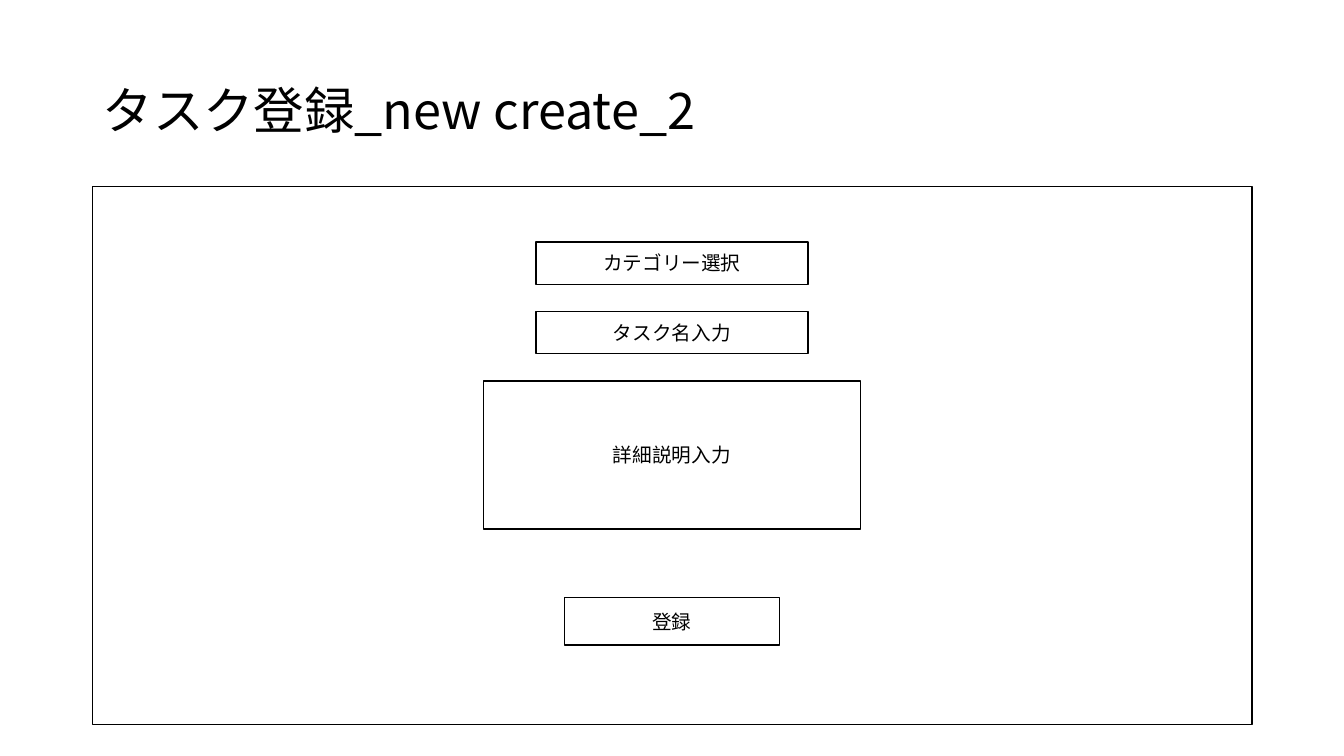
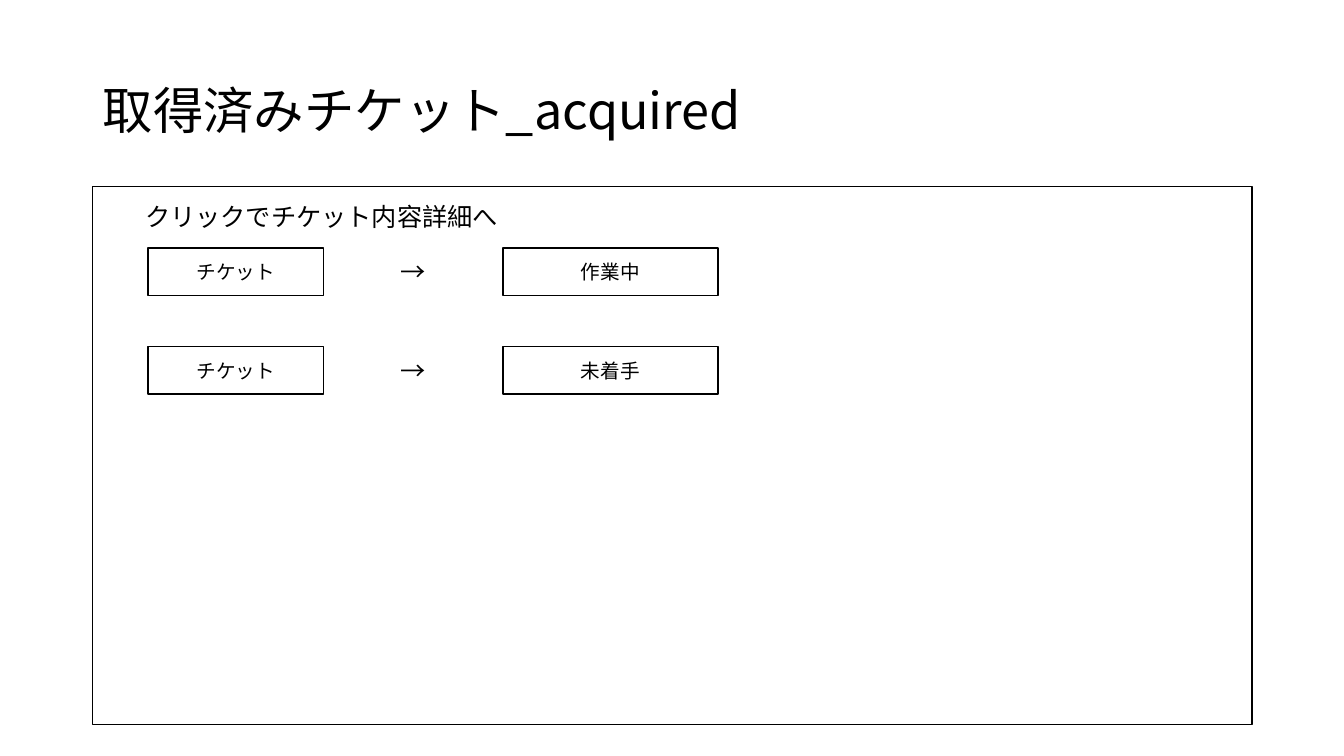
"""Build two wireframe slides: task registration and acquired tickets."""
from lxml import etree
from pptx import Presentation
from pptx.dml.color import RGBColor
from pptx.enum import shapes, text
from pptx.oxml import ns
from pptx.util import Inches, Pt

COLOURS = {"ink": "000000", "paper": "FFFFFF"}
FONT = "Noto Sans CJK JP"
SLIDE_W, SLIDE_H = 13.33, 7.5
TITLE_AREA = (0.92, 0.4, 11.5, 1.45)
FRAME = (0.92, 1.85, 11.5, 5.34)

FORM_TITLE = "タスク登録_new create_2"
FIELDS = [
    ("カテゴリー選択", 2.7, 0.42),
    ("タスク名入力", 2.7, 0.42),
    ("詳細説明入力", 3.74, 1.47),
]
FIELD_TOP, FIELD_GAP = 2.4, 0.27
SUBMIT = ("登録", 2.13, 0.47)
SUBMIT_TOP = 5.93

LIST_TITLE = "取得済みチケット_acquired"
HINT = "クリックでチケット内容詳細へ"
TICKETS = [("チケット", "作業中"), ("チケット", "未着手")]
TICKET_TOP, TICKET_PITCH, TICKET_H = 2.46, 0.98, 0.47
TICKET_LEFT, TICKET_W = 1.47, 1.74
STATUS_LEFT, STATUS_W = 4.99, 2.13
ARROW_W, LABEL_H = 0.45, 0.4


def colour(name):
    return RGBColor.from_string(COLOURS[name])


def write(shape, words, size, align=text.PP_ALIGN.LEFT):
    frame = shape.text_frame
    frame.vertical_anchor = text.MSO_ANCHOR.MIDDLE
    para = frame.paragraphs[0]
    para.alignment = align
    span = para.add_run()
    span.text = words
    span.font.size = Pt(size)
    span.font.name = FONT
    span.font.color.rgb = colour("ink")
    east_asian = etree.SubElement(span.font._element, ns.qn("a:ea"))
    east_asian.set("typeface", FONT)
    return para


def add_box(page, area, words=None):
    box = page.shapes.add_shape(shapes.MSO_SHAPE.RECTANGLE, *map(Inches, area))
    box.shadow.inherit = False
    box.fill.background()
    box.line.color.rgb = colour("ink")
    box.line.width = Pt(1)
    if words:
        write(box, words, 14, text.PP_ALIGN.CENTER)


def add_label(page, area, words):
    label = page.shapes.add_textbox(*map(Inches, area))
    label.text_frame.word_wrap = False
    label.text_frame.auto_size = text.MSO_AUTO_SIZE.SHAPE_TO_FIT_TEXT
    write(label, words, 18)


def add_page(deck, title):
    page = deck.slides.add_slide(deck.slide_layouts[6])
    page.background.fill.solid()
    page.background.fill.fore_color.rgb = colour("paper")
    heading = page.shapes.add_textbox(*map(Inches, TITLE_AREA))
    heading.text_frame.word_wrap = True
    write(heading, title, 36).line_spacing = 0.9
    add_box(page, FRAME)
    return page


def add_centred_box(page, top, item):
    words, width, height = item
    add_box(page, ((SLIDE_W - width) / 2, top, width, height), words)
    return top + height


def build_form(deck):
    page = add_page(deck, FORM_TITLE)
    top = FIELD_TOP
    for field in FIELDS:
        top = add_centred_box(page, top, field) + FIELD_GAP
    add_centred_box(page, SUBMIT_TOP, SUBMIT)


def build_tickets(deck):
    page = add_page(deck, LIST_TITLE)
    add_label(page, (1.34, 1.95, 3.74, LABEL_H), HINT)
    arrow_left = (TICKET_LEFT + TICKET_W + STATUS_LEFT - ARROW_W) / 2
    for row, (ticket, status) in enumerate(TICKETS):
        top = TICKET_TOP + row * TICKET_PITCH
        arrow_top = top + (TICKET_H - LABEL_H) / 2
        add_box(page, (TICKET_LEFT, top, TICKET_W, TICKET_H), ticket)
        add_label(page, (arrow_left, arrow_top, ARROW_W, LABEL_H), "→")
        add_box(page, (STATUS_LEFT, top, STATUS_W, TICKET_H), status)


def main():
    deck = Presentation()
    deck.slide_width, deck.slide_height = Inches(SLIDE_W), Inches(SLIDE_H)
    build_form(deck)
    build_tickets(deck)
    deck.save("out.pptx")


if __name__ == "__main__":
    main()
